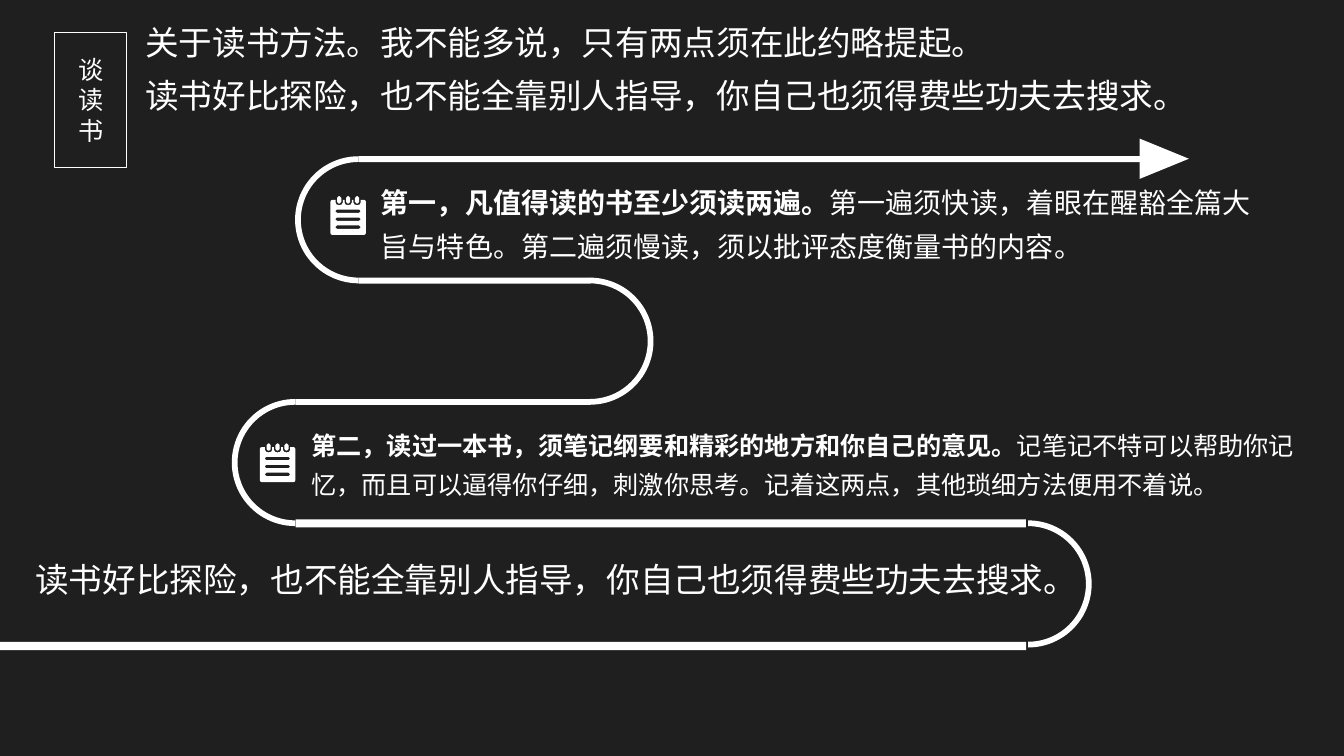
"""Build the dark slide on reading methods with a winding arrow."""
import math

import lxml.etree
import pptx
import pptx.dml.color
import pptx.enum.shapes
import pptx.enum.text
import pptx.oxml.ns
import pptx.util

Pt = pptx.util.Pt
PRESET = pptx.enum.shapes.MSO_SHAPE
ALIGN = pptx.enum.text.PP_ALIGN
ANCHOR = pptx.enum.text.MSO_ANCHOR
WHITE = pptx.dml.color.RGBColor(0xFF, 0xFF, 0xFF)
CHARCOAL = pptx.dml.color.RGBColor(0x1F, 0x1F, 0x1F)
FONT = "Noto Sans CJK SC"

deck = pptx.Presentation()
deck.slide_width, deck.slide_height = Pt(960), Pt(540)
page = deck.slides.add_slide(deck.slide_layouts[6])
page.background.fill.solid()
page.background.fill.fore_color.rgb = CHARCOAL


def write_text(box, paragraphs, size, spacing=1.3, align=ALIGN.LEFT, anchor=ANCHOR.TOP,
               inset=(7.2, 3.6), grow=True):
    """Fill a box with paragraphs, each a list of (text, bold) pairs."""
    frame = box.text_frame
    frame.word_wrap = True
    frame.vertical_anchor = anchor
    frame.margin_left = frame.margin_right = Pt(inset[0])
    frame.margin_top = frame.margin_bottom = Pt(inset[1])
    if grow:
        frame.auto_size = pptx.enum.text.MSO_AUTO_SIZE.SHAPE_TO_FIT_TEXT
    for index, pieces in enumerate(paragraphs):
        para = frame.add_paragraph() if index else frame.paragraphs[0]
        para.alignment = align
        para.line_spacing = spacing
        for text, bold in pieces:
            span = para.add_run()
            span.text = text
            span.font.size = Pt(size)
            span.font.bold = bold
            span.font.color.rgb = WHITE
            span.font.name = FONT
            east_asian = lxml.etree.SubElement(span.font._element, pptx.oxml.ns.qn("a:ea"))
            east_asian.set("typeface", FONT)


def draw_outline(contours):
    """Draw closed white contours, given in points, as one shape."""
    builder = None
    for contour in contours:
        start, *rest = [(Pt(x), Pt(y)) for x, y in contour]
        if builder is None:
            builder = page.shapes.build_freeform(*start)
        else:
            builder.move_to(*start)
        builder.add_line_segments(rest, close=True)
    outline = builder.convert_to_shape()
    outline.shadow.inherit = False
    outline.fill.solid()
    outline.fill.fore_color.rgb = WHITE
    outline.line.fill.background()


headline = page.shapes.add_textbox(Pt(94.3), Pt(2.2), Pt(754.6), Pt(85))
write_text(headline, [[("关于读书方法。我不能多说，只有两点须在此约略提起。", False)],
                      [("读书好比探险，也不能全靠别人指导，你自己也须得费些功夫去搜求。", False)]],
           24, anchor=ANCHOR.MIDDLE, inset=(9.4, 5))

title = page.shapes.add_shape(PRESET.RECTANGLE, Pt(38.9), Pt(23), Pt(51.8), Pt(96.5))
title.shadow.inherit = False
title.fill.background()
title.line.color.rgb = WHITE
title.line.width = Pt(0.75)
write_text(title, [[("谈读书", False)]], 18, spacing=1, align=ALIGN.CENTER,
           anchor=ANCHOR.MIDDLE, inset=(9.4, 5), grow=False)

track = [
    (PRESET.RECTANGLE, 0, 458.5, 733, 5.8, 0),
    (PRESET.RECTANGLE, 211.2, 371, 521.6, 5.8, 0),
    (PRESET.RECTANGLE, 211, 285.1, 211, 4.2, 0),
    (PRESET.RECTANGLE, 256.2, 198.4, 165.6, 4.2, 0),
    (PRESET.RECTANGLE, 256.2, 111.6, 561.6, 4.2, 0),
    (PRESET.ISOSCELES_TRIANGLE, 817.2, 95.8, 28.8, 35.2, 90),
]
for preset, left, top, width, height, rotation in track:
    piece = page.shapes.add_shape(preset, Pt(left), Pt(top), Pt(width), Pt(height))
    piece.rotation = rotation
    piece.shadow.inherit = False
    piece.fill.solid()
    piece.fill.fore_color.rgb = WHITE
    piece.line.fill.background()

OUTER, INNER, STEPS = 45.4, 41.3, 48
angles = [math.pi * (step / STEPS - 0.5) for step in range(STEPS + 1)]
for level, (center_x, side) in enumerate([(256.2, -1), (421.4, 1), (211, -1), (734.4, 1)]):
    center_y = 157 + 86.7 * level
    draw_outline([[(center_x + side * radius * math.cos(angle), center_y + radius * math.sin(angle))
                   for radius, sweep in ((OUTER, angles), (INNER, angles[::-1]))
                   for angle in sweep]])

RINGS = (6.3, 12.7, 19.1)
sheet = [(0, 4), (0.4, 3), (1.4, 2.6)]
for ring in RINGS:
    sheet += [(ring + dx, y) for dx, y in
              ((-2.6, 2.6), (-2.6, 4.5), (-1.8, 5.9), (0, 6.4), (1.8, 5.9), (2.6, 4.5), (2.6, 2.6))]
sheet += [(24, 2.6), (25, 3), (25.4, 4), (25.4, 26.2), (25, 27.2), (24, 27.6),
          (1.4, 27.6), (0.4, 27.2), (0, 26.2)]
notepad = [sheet]
for left, top, width, height, corner in (
        [(3.6, top, 18, 2.4, 1.1) for top in (9.5, 15.2, 20.9)]
        + [(ring - 1.5, 0, 3, 5.2, 1.2) for ring in RINGS]):
    right, bottom = left + width, top + height
    notepad.append([(left + corner, top), (right - corner, top), (right, top + corner),
                    (right, bottom - corner), (right - corner, bottom),
                    (left + corner, bottom), (left, bottom - corner), (left, top + corner)])

advice = [
    (265, 121.7, 653.8, 69.8, 20, 236, 140.2, "第一，凡值得读的书至少须读两遍。",
     "第一遍须快读，着眼在醒豁全篇大旨与特色。第二遍须慢读，须以批评态度衡量书的内容。"),
    (215.3, 297.4, 730.8, 64, 18, 185.6, 316.8, "第二，读过一本书，须笔记纲要和精彩的地方和你自己的意见。",
     "记笔记不特可以帮助你记忆，而且可以逼得你仔细，刺激你思考。记着这两点，其他琐细方法便用不着说。"),
]
for left, top, width, height, size, icon_x, icon_y, rule, detail in advice:
    draw_outline([[(icon_x + x, icon_y + y) for x, y in contour] for contour in notepad])
    box = page.shapes.add_textbox(Pt(left), Pt(top), Pt(width), Pt(height))
    write_text(box, [[(rule, True), (detail, False)]], size)

closing = page.shapes.add_textbox(Pt(15.8), Pt(385.9), Pt(754.6), Pt(47.5))
write_text(closing, [[("读书好比探险，也不能全靠别人指导，你自己也须得费些功夫去搜求。", False)]],
           24, anchor=ANCHOR.MIDDLE, inset=(9.4, 5))

deck.save("out.pptx")
